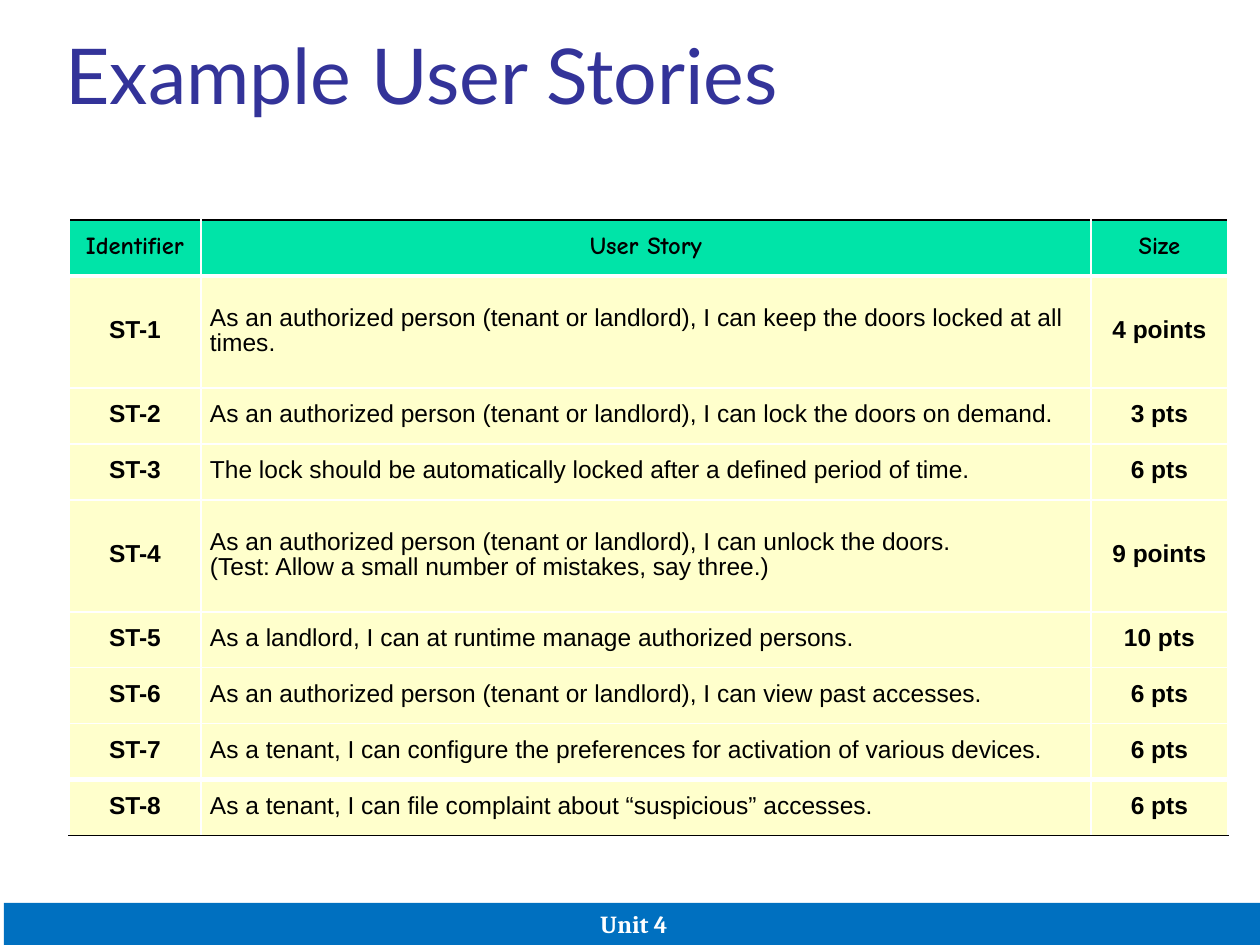
from lxml import etree
from pptx import Presentation
from pptx.dml.color import RGBColor
from pptx.enum.shapes import MSO_SHAPE
from pptx.enum.text import MSO_ANCHOR, PP_ALIGN
from pptx.oxml.ns import qn
from pptx.util import Emu, Pt

RECTANGLE = MSO_SHAPE.RECTANGLE
TOP, MIDDLE, BOTTOM = MSO_ANCHOR.TOP, MSO_ANCHOR.MIDDLE, MSO_ANCHOR.BOTTOM
LEFT, CENTER = PP_ALIGN.LEFT, PP_ALIGN.CENTER

EMU_PER_PX = 914400 / 126
WHITE, BLACK = "FFFFFF", "000000"
INDIGO, BLUE, GREEN, CREAM = "333399", "0070C0", "00E4A8", "FFFFCC"

STORIES = [
    ("Identifier", "User Story", "Size"),
    ("ST-1", "As an authorized person (tenant or landlord), I can keep the doors "
     "locked at all times.", "4 points"),
    ("ST-2", "As an authorized person (tenant or landlord), I can lock the doors "
     "on demand.", "3 pts"),
    ("ST-3", "The lock should be automatically locked after a defined period of "
     "time.", "6 pts"),
    ("ST-4", "As an authorized person (tenant or landlord), I can unlock the doors.\n"
     "(Test: Allow a small number of mistakes, say three.)", "9 points"),
    ("ST-5", "As a landlord, I can at runtime manage authorized persons.", "10 pts"),
    ("ST-6", "As an authorized person (tenant or landlord), I can view past "
     "accesses.", "6 pts"),
    ("ST-7", "As a tenant, I can configure the preferences for activation of "
     "various devices.", "6 pts"),
    ("ST-8", "As a tenant, I can file complaint about “suspicious” accesses.", "6 pts"),
]
COLUMN_WIDTHS = [132, 890, 137]
ROW_HEIGHT = 56
TALL_ROWS = (1, 4)
# Horizontal rules that differ from the thin white one: index -> (colour, points)
RULES = {0: (BLACK, 1), 1: (WHITE, 3), 8: (WHITE, 3), 9: (BLACK, 1)}
THIN_RULE = (WHITE, 1)


def px(length):
    return Emu(round(length * EMU_PER_PX))


def color(code):
    return RGBColor.from_string(code)


def set_borders(cell, left, right, top, bottom):
    """Place each (colour, points) border ahead of the cell's fill."""
    properties = cell._tc.get_or_add_tcPr()
    sides = {"a:lnL": left, "a:lnR": right, "a:lnT": top, "a:lnB": bottom}
    for index, (tag, (code, points)) in enumerate(sides.items()):
        line = etree.Element(qn(tag), w=str(Pt(points)))
        fill = etree.SubElement(line, qn("a:solidFill"))
        etree.SubElement(fill, qn("a:srgbClr"), val=code)
        properties.insert(index, line)


class SlideBuilder:
    def __init__(self, slide):
        self.slide = slide
        self.title_font = "Lato"
        self.header_font = "Comic Neue"
        self.body_font = "Arial"
        self.footer_font = "Cambria"
        self.text_size = 14

    def set_text(self, frame, text, font, size, code, bold=False, align=LEFT):
        para = frame.paragraphs[0]
        para.text = text
        para.alignment = align
        para.font.name = font
        para.font.size = Pt(size)
        para.font.bold = bold
        para.font.color.rgb = color(code)
        return para

    def title(self, text, left, top, width, height):
        box = self.slide.shapes.add_textbox(px(left), px(top), px(width), px(height))
        box.text_frame.word_wrap = True
        box.text_frame.vertical_anchor = TOP
        self.set_text(box.text_frame, text, self.title_font, 44, INDIGO)

    def cell(self, cell, text, row, column):
        is_header = row == 0
        is_story = column == 1 and not is_header
        cell.fill.solid()
        cell.fill.fore_color.rgb = color(GREEN if is_header else CREAM)
        set_borders(cell, THIN_RULE, THIN_RULE,
                    RULES.get(row, THIN_RULE), RULES.get(row + 1, THIN_RULE))
        cell.vertical_anchor = MIDDLE
        cell.margin_left = cell.margin_right = px(2 if row == column == 0 else 9)
        cell.margin_top = cell.margin_bottom = 0
        para = self.set_text(cell.text_frame, text,
                             self.header_font if is_header else self.body_font,
                             self.text_size, BLACK, bold=not is_story,
                             align=LEFT if is_story else CENTER)
        para.line_spacing = Pt(14)

    def table(self, rows, left, top):
        heights = [ROW_HEIGHT * (2 if row in TALL_ROWS else 1) for row in range(len(rows))]
        table = self.slide.shapes.add_table(
            len(rows), len(COLUMN_WIDTHS), px(left), px(top),
            px(sum(COLUMN_WIDTHS)), px(sum(heights))).table
        table.horz_banding = False
        for column, width in zip(table.columns, COLUMN_WIDTHS):
            column.width = px(width)
        for row, (texts, height) in enumerate(zip(rows, heights)):
            table.rows[row].height = px(height)
            for column, text in enumerate(texts):
                self.cell(table.cell(row, column), text, row, column)

    def footer(self, text, left, top, width, height):
        bar = self.slide.shapes.add_shape(
            RECTANGLE, px(left), px(top), px(width), px(height))
        bar.shadow.inherit = False
        bar.fill.solid()
        bar.fill.fore_color.rgb = color(BLUE)
        bar.line.fill.background()
        bar.text_frame.word_wrap = True
        bar.text_frame.vertical_anchor = BOTTOM
        self.set_text(bar.text_frame, text, self.footer_font, self.text_size, WHITE,
                      bold=True, align=CENTER)


def main():
    deck = Presentation()
    deck.slide_width, deck.slide_height = px(1260), px(945)
    page = SlideBuilder(deck.slides.add_slide(deck.slide_layouts[6]))
    page.title("Example User Stories", 53, 21, 1182, 158)
    page.table(STORIES, 69, 220)
    page.footer("Unit 4", 4, 903, 1260, 42)
    deck.save("out.pptx")


if __name__ == "__main__":
    main()
